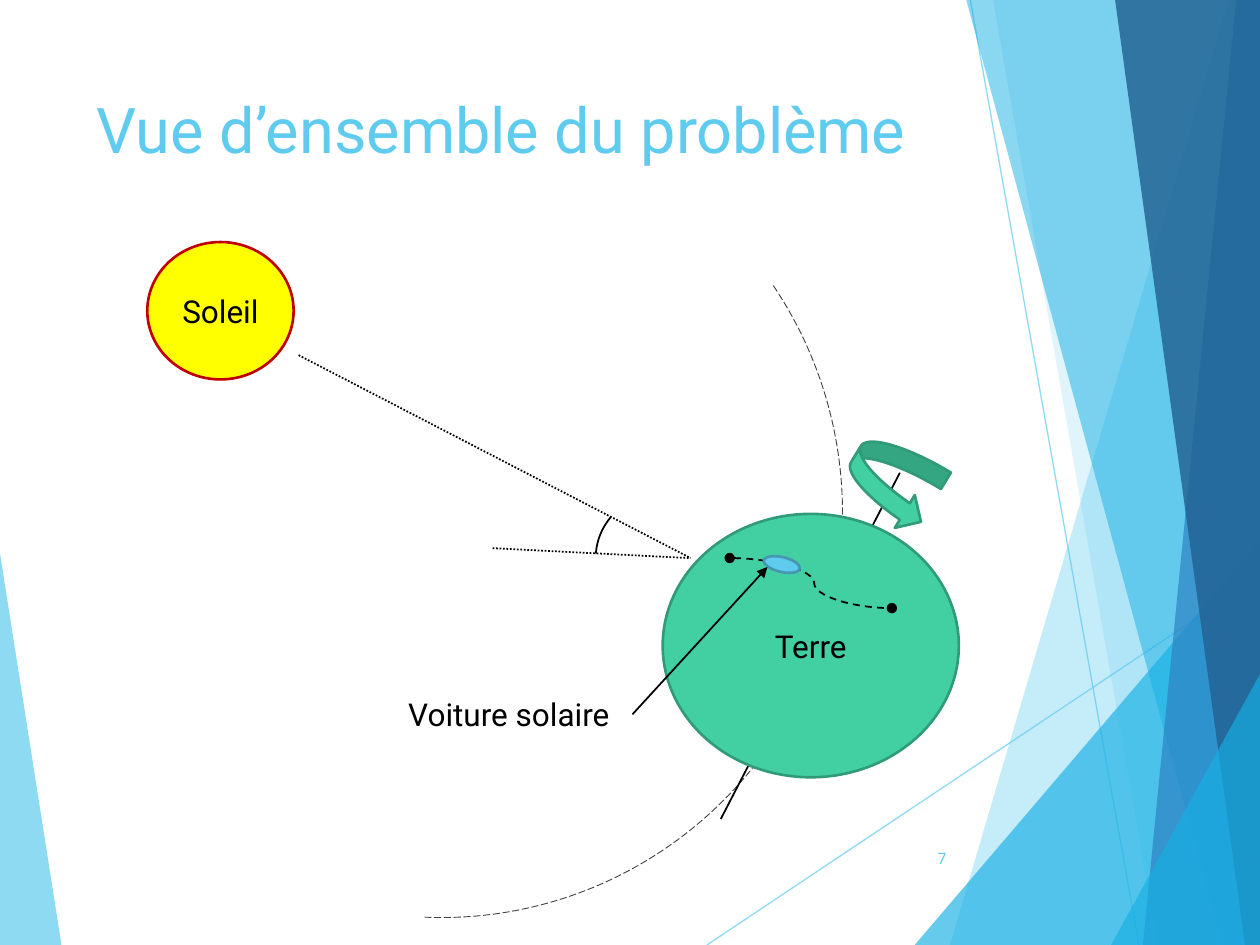
from dataclasses import dataclass

from lxml import etree
from pptx import Presentation
from pptx.dml.color import RGBColor
from pptx.enum.dml import MSO_LINE
from pptx.enum.shapes import MSO_CONNECTOR, MSO_SHAPE
from pptx.enum.text import MSO_ANCHOR, MSO_AUTO_SIZE, PP_ALIGN
from pptx.oxml.ns import qn
from pptx.util import Cm, Pt

RIGHT, BOTTOM = 25.4, 19.05
FONT = "Roboto"
SKY, AZURE, BLUE, NAVY = "5FCBEF", "17B0E4", "2E83C3", "226292"
GREEN, DARK_GREEN, BLACK = "42D0A2", "319A78", "000000"
ELLIPSE, ARC, TURN_ARROW = MSO_SHAPE.OVAL, MSO_SHAPE.ARC, MSO_SHAPE.CURVED_RIGHT_ARROW
STRAIGHT, CURVE = MSO_CONNECTOR.STRAIGHT, MSO_CONNECTOR.CURVE
DASH, LONG_DASH, DOTS = MSO_LINE.DASH, MSO_LINE.LONG_DASH, MSO_LINE.ROUND_DOT
TOP, MIDDLE = MSO_ANCHOR.TOP, MSO_ANCHOR.MIDDLE
LEFT_ALIGN, CENTER, RIGHT_ALIGN = PP_ALIGN.LEFT, PP_ALIGN.CENTER, PP_ALIGN.RIGHT
FIT_TEXT = MSO_AUTO_SIZE.SHAPE_TO_FIT_TEXT

Point = tuple[float, float]
Box = tuple[float, float, float, float]


@dataclass
class Facet:
    outline: tuple[Point, ...]
    color: str
    opacity: int


@dataclass
class Stroke:
    start: Point
    end: Point
    color: str = BLACK
    width: float = 1
    dash: MSO_LINE | None = None
    kind: MSO_CONNECTOR = STRAIGHT
    opacity: int = 100
    head: str = ""
    tail: str = ""
    bend: int = 0


@dataclass
class Body:
    kind: MSO_SHAPE
    box: Box
    fill: str
    line: str
    width: float = 1.5
    rotation: float = 0
    label: str = ""
    dash: MSO_LINE | None = None
    angles: Point | None = None


@dataclass
class Caption:
    text: str
    box: Box
    size: float
    color: str
    align: PP_ALIGN = LEFT_ALIGN
    anchor: MSO_ANCHOR = TOP
    fit: bool = False


def rgb(color: str) -> RGBColor:
    return RGBColor.from_string(color)


def set_opacity(element, percent: int) -> None:
    for color in element.iter(qn("a:srgbClr")):
        etree.SubElement(color, qn("a:alpha"), val=str(percent * 1000))


def write(frame, text: str, size: float, color: str, align: PP_ALIGN, anchor: MSO_ANCHOR) -> None:
    frame.word_wrap = True
    frame.vertical_anchor = anchor
    paragraph = frame.paragraphs[0]
    paragraph.text = text
    paragraph.alignment = align
    paragraph.font.name = FONT
    paragraph.font.size = Pt(size)
    paragraph.font.color.rgb = rgb(color)


def draw_facet(shapes, facet: Facet) -> None:
    first, *others = [(Cm(x), Cm(y)) for x, y in facet.outline]
    builder = shapes.build_freeform(*first)
    builder.add_line_segments(others)
    panel = builder.convert_to_shape()
    panel.shadow.inherit = False
    panel.fill.solid()
    panel.fill.fore_color.rgb = rgb(facet.color)
    panel.line.fill.background()
    set_opacity(panel.element, facet.opacity)


def draw_stroke(shapes, stroke: Stroke) -> None:
    connector = shapes.add_connector(
        stroke.kind, *(Cm(v) for v in stroke.start + stroke.end))
    connector.line.color.rgb = rgb(stroke.color)
    connector.line.width = Pt(stroke.width)
    if stroke.dash:
        connector.line.dash_style = stroke.dash
    properties = connector.element.spPr
    if stroke.opacity < 100:
        set_opacity(properties, stroke.opacity)
    for tag, ending in (("a:headEnd", stroke.head), ("a:tailEnd", stroke.tail)):
        if ending:
            etree.SubElement(properties.find(qn("a:ln")), qn(tag), type=ending)
    if stroke.bend:
        guides = properties.find(qn("a:prstGeom")).find(qn("a:avLst"))
        etree.SubElement(guides, qn("a:gd"), name="adj1", fmla=f"val {stroke.bend}")
    etree.SubElement(properties, qn("a:effectLst"))


def draw_body(shapes, body: Body) -> None:
    shape = shapes.add_shape(body.kind, *(Cm(v) for v in body.box))
    shape.shadow.inherit = False
    shape.rotation = body.rotation
    if body.fill:
        shape.fill.solid()
        shape.fill.fore_color.rgb = rgb(body.fill)
    else:
        shape.fill.background()
    shape.line.color.rgb = rgb(body.line)
    shape.line.width = Pt(body.width)
    if body.dash:
        shape.line.dash_style = body.dash
    if body.angles:
        for index, degrees in enumerate(body.angles):
            shape.adjustments[index] = degrees * 0.6
    if body.label:
        write(shape.text_frame, body.label, 18, BLACK, CENTER, MIDDLE)


def draw_caption(shapes, caption: Caption) -> None:
    frame = shapes.add_textbox(*(Cm(v) for v in caption.box)).text_frame
    write(frame, caption.text, caption.size, caption.color, caption.align, caption.anchor)
    if caption.fit:
        frame.auto_size = FIT_TEXT


def band(top_x: float, bottom_x: float, color: str, opacity: int) -> Facet:
    return Facet(((top_x, 0), (bottom_x, BOTTOM), (RIGHT, BOTTOM), (RIGHT, 0)), color, opacity)


def corner(left: float, top: float) -> Facet:
    return Facet(((left, BOTTOM), (RIGHT, top), (RIGHT, BOTTOM)), AZURE, 66)


SCENE = (
    Facet(((0, 11.15), (1.24, BOTTOM), (0, BOTTOM)), SKY, 70),
    Stroke((14.25, BOTTOM), (RIGHT, 11.61), SKY, 0.75, opacity=70),
    Stroke((19.56, 0), (22.96, BOTTOM), SKY, 0.75, opacity=70),
    band(24.77, 19.15, SKY, 36),
    band(20.02, 23.34, SKY, 20),
    corner(18.44, 10.9),
    band(19.48, 24.64, AZURE, 50),
    band(24.92, 23.04, BLUE, 70),
    band(22.48, 25.1, NAVY, 82),
    corner(22.4, 13.59),
    Body(ARC, (0.79, 2.31, 16.28, 16.1), "", "404040", 0.5, 98.8,
         dash=LONG_DASH, angles=(226.54, 353.8)),
    Stroke((18.14, 9.53), (14.53, 16.51)),
    Caption("Vue d’ensemble du problème", (1.7, 1.7, 17.63, 3.66), 36, SKY),
    Caption("7", (17.91, 16.79, 1.42, 1.02), 9, SKY, RIGHT_ALIGN, MIDDLE),
    Body(ELLIPSE, (2.97, 4.88, 2.95, 2.77), "FFFF00", "C00000", label="Soleil"),
    Body(ELLIPSE, (13.36, 10.36, 5.97, 5.31), GREEN, DARK_GREEN, label="Terre"),
    Body(TURN_ARROW, (17.07, 8.94, 1.83, 1.55), GREEN, DARK_GREEN, rotation=31.3),
    Stroke((14.71, 11.25), (17.98, 12.26), dash=DASH, kind=CURVE,
           head="oval", tail="oval", bend=52100),
    Stroke((6.02, 7.16), (13.92, 11.25), dash=DOTS),
    Stroke((9.93, 11.05), (13.89, 11.25), dash=DOTS),
    Body(ARC, (12.01, 9.98, 2.54, 2.54), "", BLACK, 1, 331.6, angles=(212.46, 249.17)),
    Body(ELLIPSE, (15.39, 11.23, 0.74, 0.3), SKY, "4696B1", rotation=13.1),
    Stroke((12.75, 14.4), (15.47, 11.43), tail="triangle"),
    Caption("Voiture solaire", (7.98, 13.89, 4.78, 1.02), 18, BLACK, fit=True),
)
DRAWERS = {Facet: draw_facet, Stroke: draw_stroke, Body: draw_body, Caption: draw_caption}


def main() -> None:
    presentation = Presentation()
    presentation.slide_width, presentation.slide_height = Cm(RIGHT), Cm(BOTTOM)
    slide = presentation.slides.add_slide(presentation.slide_layouts[6])
    for part in SCENE:
        DRAWERS[type(part)](slide.shapes, part)
    presentation.save("out.pptx")


if __name__ == "__main__":
    main()
